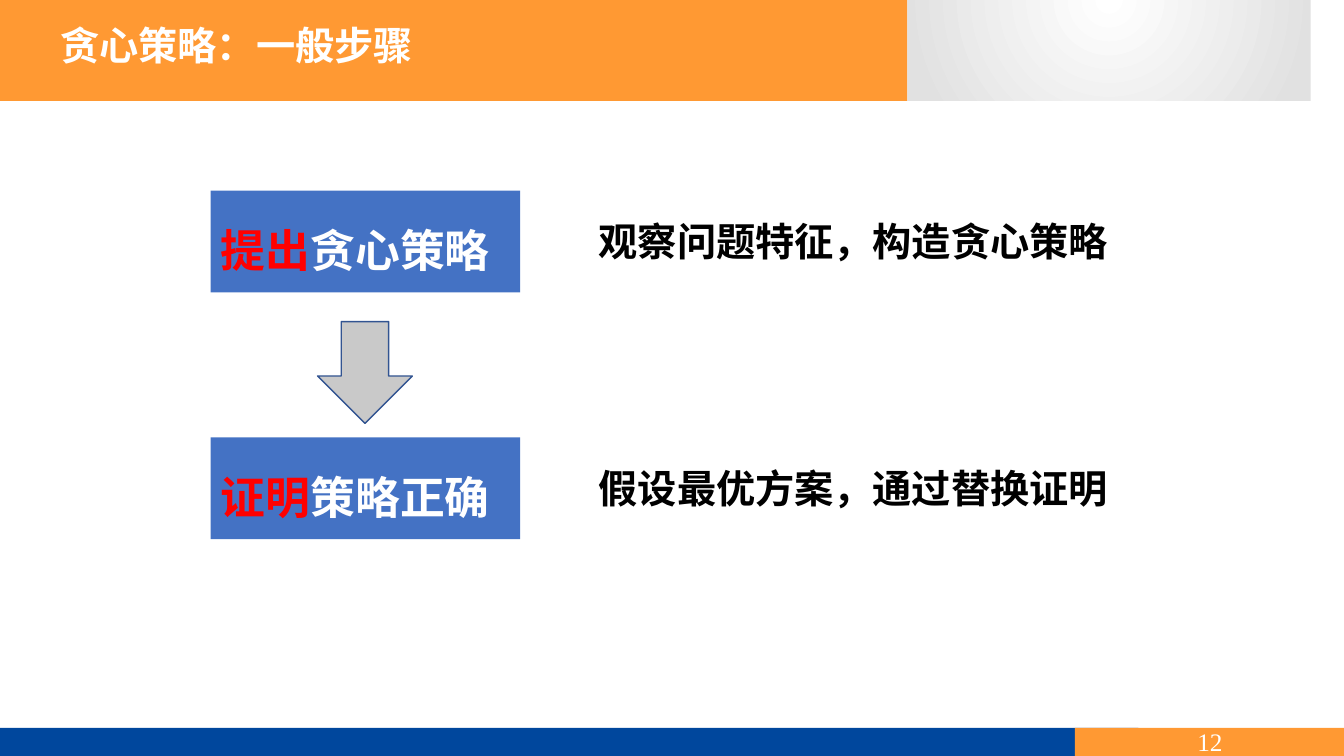
from dataclasses import dataclass
from typing import NamedTuple

from lxml.etree import SubElement
from pptx import Presentation
from pptx.dml.color import RGBColor as Rgb
from pptx.enum.shapes import MSO_SHAPE as Preset
from pptx.enum.text import MSO_ANCHOR as Anchor, PP_ALIGN as Align
from pptx.oxml.ns import qn
from pptx.shapes.autoshape import Shape
from pptx.slide import Slide
from pptx.util import Inches, Pt

Point = tuple[float, float]


@dataclass(frozen=True)
class Theme:
    orange: str = "FF9933"
    navy: str = "00479D"
    step_blue: str = "4472C4"
    arrow_grey: str = "C9C9C9"
    arrow_edge: str = "325491"
    silver: str = "E1E1E1"
    white: str = "FFFFFF"
    black: str = "000000"
    red: str = "FF0000"
    han: str = "Noto Sans CJK SC"
    sans: str = "Arial"
    serif: str = "Times New Roman"
    page_size: int = 18
    body_size: int = 28
    step_size: int = 32


class Box(NamedTuple):
    left: float
    top: float
    width: float
    height: float


class Span(NamedTuple):
    text: str
    color: str
    size: int
    face: str
    bold: bool = True


class Step(NamedTuple):
    action: str
    target: str
    detail: str


THEME = Theme()
STEPS = (
    Step("提出", "贪心策略", "观察问题特征，构造贪心策略"),
    Step("证明", "策略正确", "假设最优方案，通过替换证明"),
)
STEP_TOP, STEP_PITCH = 1.89, 2.45
BANNER_TOP, BANNER_BOTTOM = 0.09, 0.68


def bezier(start: Point, pull: Point, push: Point, end: Point, count: int = 24) -> list[Point]:
    points = []
    for index in range(count + 1):
        t = index / count
        weights = ((1 - t) ** 3, 3 * t * (1 - t) ** 2, 3 * t**2 * (1 - t), t**3)
        x, y = (sum(w * c for w, c in zip(weights, axis)) for axis in zip(start, pull, push, end))
        points.append((x, y))
    return points


def add_outline(slide: Slide, points: list[Point]) -> Shape:
    builder = slide.shapes.build_freeform(*points[0], scale=Inches(1))
    builder.add_line_segments(points[1:], close=True)
    outline = builder.convert_to_shape()
    outline.shadow.inherit = False
    outline.line.fill.background()
    return outline


def paint(shape: Shape, color: str) -> None:
    shape.fill.solid()
    shape.fill.fore_color.rgb = Rgb.from_string(color)


def add_block(slide: Slide, preset: Preset, box: Box, color: str) -> Shape:
    block = slide.shapes.add_shape(preset, *map(Inches, box))
    block.shadow.inherit = False
    block.line.fill.background()
    paint(block, color)
    return block


def write(shape: Shape, spans: list[Span], anchor: Anchor = Anchor.TOP,
          align: Align = Align.LEFT, spacing: float = 1.0) -> None:
    frame = shape.text_frame
    paragraph = frame.paragraphs[0]
    for owner, formats in (
        (frame, {"word_wrap": True, "vertical_anchor": anchor}),
        (paragraph, {"alignment": align, "line_spacing": spacing}),
    ):
        for key, value in formats.items():
            setattr(owner, key, value)
    for span in spans:
        run = paragraph.add_run()
        run.text = span.text
        for key, value in {"name": span.face, "size": Pt(span.size), "bold": span.bold}.items():
            setattr(run.font, key, value)
        run.font.color.rgb = Rgb.from_string(span.color)
        SubElement(run._r.get_or_add_rPr(), qn("a:ea"), typeface=THEME.han)


def add_label(slide: Slide, box: Box, span: Span) -> None:
    write(slide.shapes.add_textbox(*map(Inches, box)), [span])


def add_banner(slide: Slide) -> None:
    title_edge = bezier((8, BANNER_TOP), (8.89, 0.21), (9.03, 0.57), (9.25, BANNER_BOTTOM))
    title_band = add_outline(slide, [(0.14, BANNER_TOP), *title_edge, (0.14, BANNER_BOTTOM)])
    paint(title_band, THEME.orange)

    silver_edge = bezier((9.59, BANNER_BOTTOM), (9.18, 0.57), (8.96, 0.21), (8.75, BANNER_TOP))
    silver_band = add_outline(slide, [(13.22, BANNER_BOTTOM), *silver_edge, (13.22, BANNER_TOP)])
    silver_band.fill.gradient()
    for stop, color in zip(silver_band.fill.gradient_stops, (THEME.white, THEME.silver)):
        stop.color.rgb = Rgb.from_string(color)
    gradient = silver_band._element.spPr.find(qn("a:gradFill"))
    gradient.remove(gradient.find(qn("a:lin")))
    glow = SubElement(gradient, qn("a:path"), {"path": "circle"})
    SubElement(glow, qn("a:fillToRect"), l="50000", t="-80000", r="50000", b="180000")


def add_footer(slide: Slide) -> None:
    add_block(slide, Preset.RECTANGLE, Box(0, 7.22, 11.29, 0.28), THEME.navy)
    page = add_block(slide, Preset.RECTANGLE, Box(10.66, 7.22, 2.68, 0.28), THEME.orange)
    number = Span("12", THEME.white, THEME.page_size, THEME.serif, bold=False)
    write(page, [number], Anchor.MIDDLE, Align.CENTER)


def add_step(slide: Slide, step: Step, top: float) -> None:
    card = add_block(slide, Preset.RECTANGLE, Box(2.09, top, 3.07, 1.01), THEME.step_blue)
    action = Span(step.action, THEME.red, THEME.step_size, THEME.sans)
    target = Span(step.target, THEME.white, THEME.step_size, THEME.sans)
    write(card, [action, target], spacing=1.5)
    detail = Span(step.detail, THEME.black, THEME.body_size, THEME.serif)
    add_label(slide, Box(5.84, top + 0.22, 5.4, 0.57), detail)


def main() -> None:
    deck = Presentation()
    deck.slide_width, deck.slide_height = Inches(13.33), Inches(7.5)
    slide = deck.slides.add_slide(deck.slide_layouts[6])
    add_banner(slide)
    add_footer(slide)
    title = Span("贪心策略：一般步骤", THEME.white, THEME.body_size, THEME.han)
    add_label(slide, Box(0.5, 0.16, 6.84, 0.57), title)
    for index, step in enumerate(STEPS):
        add_step(slide, step, STEP_TOP + index * STEP_PITCH)
    arrow = add_block(slide, Preset.DOWN_ARROW, Box(3.15, 3.19, 0.94, 1.01), THEME.arrow_grey)
    arrow.line.color.rgb = Rgb.from_string(THEME.arrow_edge)
    arrow.line.width = Pt(1)
    deck.save("out.pptx")


if __name__ == "__main__":
    main()
